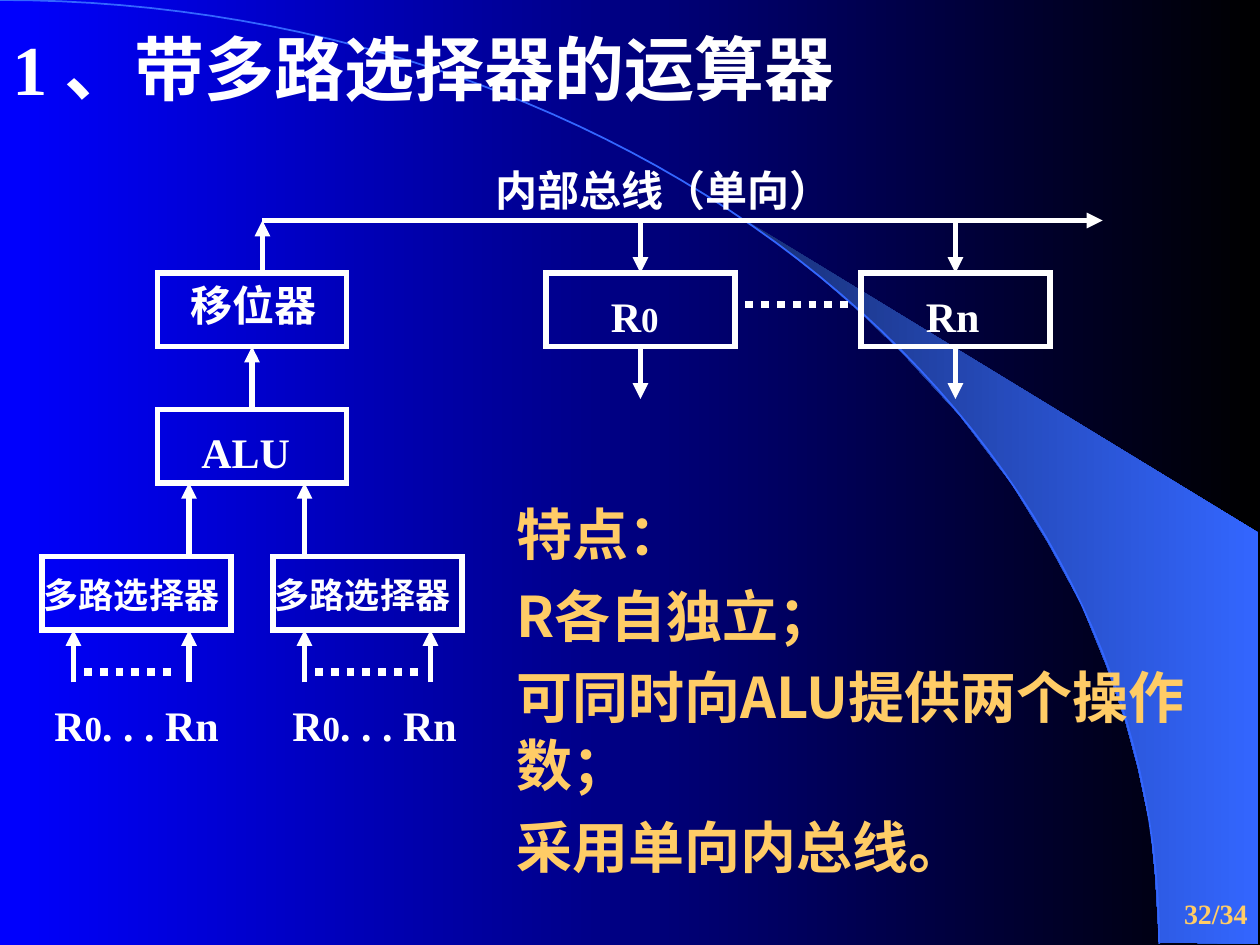
from math import cos, pi, sin

from pptx import Presentation
from pptx.dml.color import RGBColor
from pptx.enum.dml import MSO_LINE
from pptx.enum.shapes import MSO_CONNECTOR, MSO_SHAPE
from pptx.enum.text import MSO_ANCHOR, PP_ALIGN
from pptx.oxml.ns import qn
from pptx.util import Pt
from lxml import etree

WHITE = RGBColor(255, 255, 255)
GOLD = RGBColor(255, 204, 102)
BLUE = RGBColor(0, 0, 255)
BLACK = RGBColor(0, 0, 0)
SKY = RGBColor(51, 102, 255)
NAVY = RGBColor(24, 47, 118)
SERIF = "Times New Roman"
SANS = "Noto Sans CJK SC"
RECT = MSO_SHAPE.RECTANGLE
STRAIGHT = MSO_CONNECTOR.STRAIGHT
DOTS = MSO_LINE.ROUND_DOT
LEFT, RIGHT = PP_ALIGN.LEFT, PP_ALIGN.RIGHT
TOP_ANCHOR, MIDDLE = MSO_ANCHOR.TOP, MSO_ANCHOR.MIDDLE
TOP, BOTTOM = 0, 2
BOX_W, BOX_H = 108, 42
BUS_Y = 126

WEDGE = [
    (662.4, 538.6), (719.3, 539.3), (719.3, 304.6), (424.1, 124.6),
    (449.3, 143.3), (470.2, 159.8), (493.2, 180), (515.5, 201.6),
    (548.6, 237.6), (578.2, 276.5), (599, 310.3), (617.8, 344.9),
    (632.2, 380.2), (643, 411.8), (650.2, 438.5), (657.4, 472.3),
    (660.2, 501.1),
]


def blend(fill, start, end):
    fill.gradient()
    fill.gradient_angle = 0
    for stop, color in zip(fill.gradient_stops, (start, end)):
        stop.color.rgb = color


def outline(slide, points, close):
    start, *rest = [(Pt(x), Pt(y)) for x, y in points]
    form = slide.shapes.build_freeform(*start)
    form.add_line_segments(rest, close=close)
    shape = form.convert_to_shape()
    shape.shadow.inherit = False
    return shape


def backdrop(slide):
    blend(slide.background.fill, BLUE, BLACK)
    wedge = outline(slide, WEDGE, True)
    blend(wedge.fill, NAVY, SKY)
    wedge.line.fill.background()
    steps = 60
    turns = [pi / 2 * i / steps for i in range(steps + 1)]
    arc = outline(slide, [(662.4 * sin(t), 539.3 * (1 - cos(t))) for t in turns], False)
    arc.fill.background()
    arc.line.color.rgb = SKY
    arc.line.width = Pt(1)


def text(slide, lines, x, y, w, h, *, size=24, font=SERIF, color=WHITE,
         align=LEFT, anchor=TOP_ANCHOR, gap=0):
    frame = slide.shapes.add_textbox(Pt(x), Pt(y), Pt(w), Pt(h)).text_frame
    frame.word_wrap = True
    frame.vertical_anchor = anchor
    for i, line in enumerate(lines):
        para = frame.add_paragraph() if i else frame.paragraphs[0]
        para.alignment = align
        para.line_spacing = Pt(round(size * 1.21, 1))
        if i:
            para.space_before = Pt(gap)
        for part in [line] if isinstance(line, str) else line:
            words, points = (part, size) if isinstance(part, str) else part
            run = para.add_run()
            run.text = words
            run.font.size = Pt(points)
            run.font.name = font
            run.font.bold = True
            run.font.color.rgb = color


def box(slide, x, y):
    shape = slide.shapes.add_shape(RECT, Pt(x), Pt(y), Pt(BOX_W), Pt(BOX_H))
    shape.shadow.inherit = False
    shape.fill.background()
    shape.line.color.rgb = WHITE
    shape.line.width = Pt(3)
    line = shape._element.spPr.find(qn("a:ln"))
    etree.SubElement(line, qn("a:miter"), lim="800000")
    return shape


def stroke(slide, x1, y1, x2, y2, width):
    link = slide.shapes.add_connector(STRAIGHT, Pt(x1), Pt(y1), Pt(x2), Pt(y2))
    link.line.color.rgb = WHITE
    link.line.width = Pt(width)
    etree.SubElement(link._element.spPr, qn("a:effectLst"))
    return link


def arrow(slide, x1, y1, x2, y2, begin=None, end=None):
    link = stroke(slide, x1, y1, x2, y2, 3)
    line = link._element.spPr.find(qn("a:ln"))
    etree.SubElement(line, qn("a:tailEnd"), type="triangle")
    if begin:
        link.begin_connect(begin, TOP if y2 < y1 else BOTTOM)
    if end:
        link.end_connect(end, BOTTOM if y2 < y1 else TOP)


def dots(slide, x1, x2, y):
    stroke(slide, x1, y, x2, y, 4.5).line.dash_style = DOTS


def unit(slide):
    shift = box(slide, 90, 156)
    alu = box(slide, 90, 234)
    arrow(slide, 150, BUS_Y, 630, BUS_Y)
    arrow(slide, 150, 156, 150, BUS_Y)
    arrow(slide, 144, 234, 144, 198, alu, shift)
    text(slide, ["移位器"], 102, 156, 120, 36)
    text(slide, ["ALU"], 108, 240, 120, 36)


def mux(slide, x, label, out, ins, names):
    box(slide, x, 318)
    arrow(slide, out, 318, out, 276)
    for lane in ins:
        arrow(slide, lane, 390, lane, 360)
    dots(slide, ins[0] + 6, ins[1] - 6, 384)
    text(slide, ["多路选择器"], label, 324, 162, 32, size=20)
    text(slide, [["R", ("0", 20), ". . . Rn"]], names, 396, 130, 36)


def store(slide, x, name):
    cell = box(slide, x, 156)
    mid = x + BOX_W / 2
    arrow(slide, mid, BUS_Y, mid, 156, end=cell)
    arrow(slide, mid, 198, mid, 228, begin=cell)
    text(slide, [name], x + 30, 162, 66, 36)


def main():
    deck = Presentation()
    deck.slide_width, deck.slide_height = Pt(720), Pt(540)
    slide = deck.slides.add_slide(deck.slide_layouts[6])
    backdrop(slide)
    text(slide, ["32/34"], 541.5, 504, 178.5, 36, size=16, color=GOLD,
         align=RIGHT, anchor=MIDDLE)
    text(slide, ["1 、带多路选择器的运算器"], 0, 10.5, 558, 55.5, size=40)
    unit(slide)
    mux(slide, 24, 18, 108, (42, 108), 24)
    mux(slide, 156, 150, 174, (174, 246), 160)
    store(slide, 312, ["R", ("0", 20)])
    store(slide, 492, "Rn")
    dots(slide, 426, 486, 174)
    text(slide, ["内部总线（单向）"], 276, 90, 216, 36)
    text(slide, ["特点：", "R各自独立；", "可同时向ALU提供两个操作数；", "采用单向内总线。"],
         288, 281.5, 426, 226, size=32, font=SANS, color=GOLD, gap=8)
    deck.save("out.pptx")


if __name__ == "__main__":
    main()
